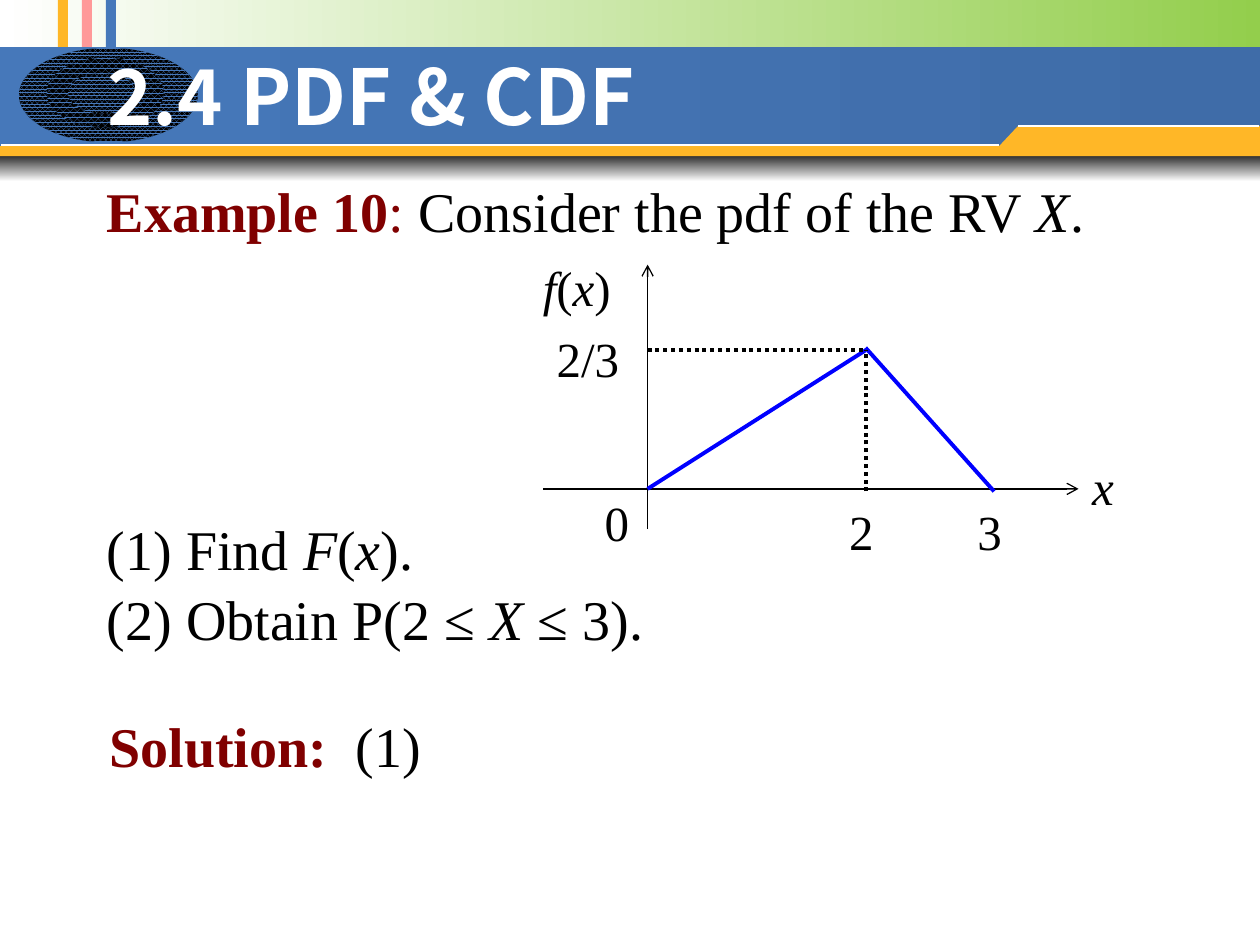
from lxml.etree import SubElement
from pptx import Presentation
from pptx.dml.color import RGBColor
from pptx.enum.dml import MSO_LINE, MSO_PATTERN
from pptx.enum.shapes import MSO_CONNECTOR, MSO_SHAPE
from pptx.enum.text import MSO_ANCHOR, PP_ALIGN
from pptx.oxml.ns import qn
from pptx.util import Inches, Pt

# The slide is a grid of 10 columns by 7.5 rows, each one inch.
COLUMNS, ROWS = 10, 7.5
BODY_FONT, TITLE_FONT = "Times New Roman", "Noto Sans CJK KR"
BLACK = RGBColor(0x00, 0x00, 0x00)
WHITE = RGBColor(0xFF, 0xFF, 0xFF)
GREEN = RGBColor(0x93, 0xCE, 0x4C)
ORANGE = RGBColor(0xFF, 0xB7, 0x27)
PINK = RGBColor(0xFF, 0x99, 0x99)
BLUE = RGBColor(0x46, 0x78, 0xBA)
DARK_BLUE = RGBColor(0x3F, 0x6C, 0xA8)
CURVE_BLUE = RGBColor(0x00, 0x00, 0xFF)
MAROON = RGBColor(0x80, 0x00, 0x00)


def place(box, left, top, width, height):
    """Turn a cell inside a box into slide lengths."""
    return [Inches(n) for n in (box[0] + left, box[1] + top, width, height)]


def add_block(slide, box, cell, color=None, kind=MSO_SHAPE.RECTANGLE):
    shape = slide.shapes.add_shape(kind, *place(box, *cell))
    shape.shadow.inherit = False
    shape.line.fill.background()
    if color is not None:
        shape.fill.solid()
        shape.fill.fore_color.rgb = color
    return shape


def add_gradient(slide, box, cell, colors, angle=0):
    fill = add_block(slide, box, cell).fill
    fill.gradient()
    fill.gradient_angle = angle
    for stop, color, position in zip(fill.gradient_stops, colors, (0, 1)):
        stop.color.rgb = color
        stop.position = position


def add_line(slide, box, start, end, color=BLACK, width=0.75, dash=None, arrow=False):
    ends = [Inches(box[i % 2] + n) for i, n in enumerate(start + end)]
    connector = slide.shapes.add_connector(MSO_CONNECTOR.STRAIGHT, *ends)
    connector.line.color.rgb = color
    connector.line.width = Pt(width)
    if dash is not None:
        connector.line.dash_style = dash
    properties = connector.element.spPr
    if arrow:
        SubElement(properties.find(qn("a:ln")), qn("a:tailEnd"), type="arrow")
    SubElement(properties, qn("a:effectLst"))


def add_runs(paragraph, runs, size, font=BODY_FONT):
    """Add (text, color, style) runs; style holds b for bold, i for italic."""
    for text, color, style in runs:
        run = paragraph.add_run()
        run.text = text
        run.font.name = font
        run.font.size = Pt(size)
        run.font.color.rgb = color
        run.font.bold = "b" in style
        run.font.italic = "i" in style


def add_text(slide, box, cell, paragraphs, size, wrap=False):
    frame = slide.shapes.add_textbox(*place(box, *cell)).text_frame
    frame.word_wrap = wrap
    frame.margin_top = Inches(0.09)
    for index, runs in enumerate(paragraphs):
        paragraph = frame.add_paragraph() if index else frame.paragraphs[0]
        add_runs(paragraph, runs, size)
    return frame


def add_header(slide, box):
    add_gradient(slide, box, (0, 0, COLUMNS, 0.92), (WHITE, GREEN))
    for index, color in enumerate((ORANGE, PINK, BLUE)):
        add_block(slide, box, (0.46 + 0.19 * index, 0, 0.08, 0.42), color)
    add_gradient(slide, box, (0, 1.19, COLUMNS, 0.25), (BLACK, WHITE), 270)
    add_gradient(slide, box, (0, 0.37, COLUMNS, 0.81), (BLUE, DARK_BLUE))

    for cell, pattern in (
        ((0.15, 0.38, 1.42, 0.75), MSO_PATTERN.PERCENT_80),
        ((0.37, 0.46, 0.93, 0.55), MSO_PATTERN.PERCENT_75),
        ((0.54, 0.58, 0.54, 0.32), MSO_PATTERN.PERCENT_80),
    ):
        fill = add_block(slide, box, cell, kind=MSO_SHAPE.OVAL).fill
        fill.patterned()
        fill.pattern = pattern
        fill.fore_color.rgb = BLUE
        fill.back_color.rgb = BLACK

    add_block(slide, box, (0, 1.16, COLUMNS, 0.08), ORANGE)
    add_block(slide, box, (8.08, 1, 1.92, 0.17), ORANGE)
    corners = [place(box, x, y, 0, 0)[:2] for x, y in ((7.92, 1.17), (8.08, 1.17), (8.08, 1))]
    builder = slide.shapes.build_freeform(*corners[0])
    builder.add_line_segments(corners[1:], close=True)
    slope = builder.convert_to_shape()
    slope.shadow.inherit = False
    slope.line.fill.background()
    slope.fill.solid()
    slope.fill.fore_color.rgb = ORANGE
    add_line(slide, box, (0.01, 1.15), (7.93, 1.15), WHITE)
    add_line(slide, box, (8.08, 1), (9.99, 1), WHITE)


def add_problem(slide, box):
    frame = add_text(slide, box, (0, 0, 8.54, 3.87), [
        [("Example 10", MAROON, "b"), (":", MAROON, ""),
         (" Consider the pdf of the RV ", BLACK, ""), ("X", BLACK, "i"), (".", BLACK, "")],
        [("(1) Find ", BLACK, ""), ("F", BLACK, "i"), ("(", BLACK, ""),
         ("x", BLACK, "i"), (").", BLACK, "")],
        [("(2) Obtain P(2 ≤ ", BLACK, ""), ("X ", BLACK, "i"), ("≤ 3).", BLACK, "")],
    ], 32, wrap=True)
    for paragraph, gap in zip(frame.paragraphs, (0, 155, 1.5)):
        paragraph.alignment = PP_ALIGN.JUSTIFY
        paragraph.space_before = Pt(gap)


def add_solution(slide, box):
    add_text(slide, box, (0, 0, 2.69, 0.64),
             [[("Solution: ", MAROON, "b"), (" (1)", BLACK, "")]], 32)


def add_density_graph(slide, box):
    """Draw the triangular density with its axes, guides and labels."""
    origin, peak = (1.14, 1.88), (2.87, 0.78)
    add_line(slide, box, (0.31, origin[1]), (4.56, origin[1]), arrow=True)
    add_line(slide, box, (origin[0], 2.2), (origin[0], 0.1), arrow=True)
    add_line(slide, box, origin, peak, CURVE_BLUE, 2.25)
    add_line(slide, box, (peak[0], 0.76), (3.89, 1.9), CURVE_BLUE, 2.25)
    for start in ((origin[0], peak[1]), (peak[0], 1.9)):
        add_line(slide, box, start, peak, width=2.25, dash=MSO_LINE.ROUND_DOT)

    for text, left, top, width in (
        ("x", 4.57, 1.53, 0.38), ("2/3", 0.32, 0.52, 0.7), ("0", 0.7, 1.82, 0.4),
        ("2", 2.64, 1.89, 0.4), ("3", 3.66, 1.89, 0.4), ("f(x)", 0.21, -0.05, 0.75),
    ):
        parts = ("f", "(", "x", ")") if text == "f(x)" else (text,)
        runs = [(part, BLACK, "i" if part.isalpha() else "") for part in parts]
        add_text(slide, box, (left, top, width, 0.57), [runs], 28)


def set_title(slide, box):
    title = slide.shapes.title
    title.left, title.top, title.width, title.height = place(box, 0, 0, 9.13, 0.79)
    title.text_frame.vertical_anchor = MSO_ANCHOR.MIDDLE
    paragraph = title.text_frame.paragraphs[0]
    paragraph.alignment = PP_ALIGN.LEFT
    add_runs(paragraph, [("2.4 PDF & CDF", WHITE, "b")], 44, TITLE_FONT)
    title.element.getparent().append(title.element)  # bring in front of the header


def main():
    presentation = Presentation()
    presentation.slide_width, presentation.slide_height = Inches(COLUMNS), Inches(ROWS)
    slide = presentation.slides.add_slide(presentation.slide_layouts[5])
    add_header(slide, (0, 0))
    add_problem(slide, (0.75, 1.31))
    add_solution(slide, (0.77, 5.56))
    add_density_graph(slide, (4, 2))
    set_title(slide, (0.75, 0.36))
    presentation.save("out.pptx")


if __name__ == "__main__":
    main()
